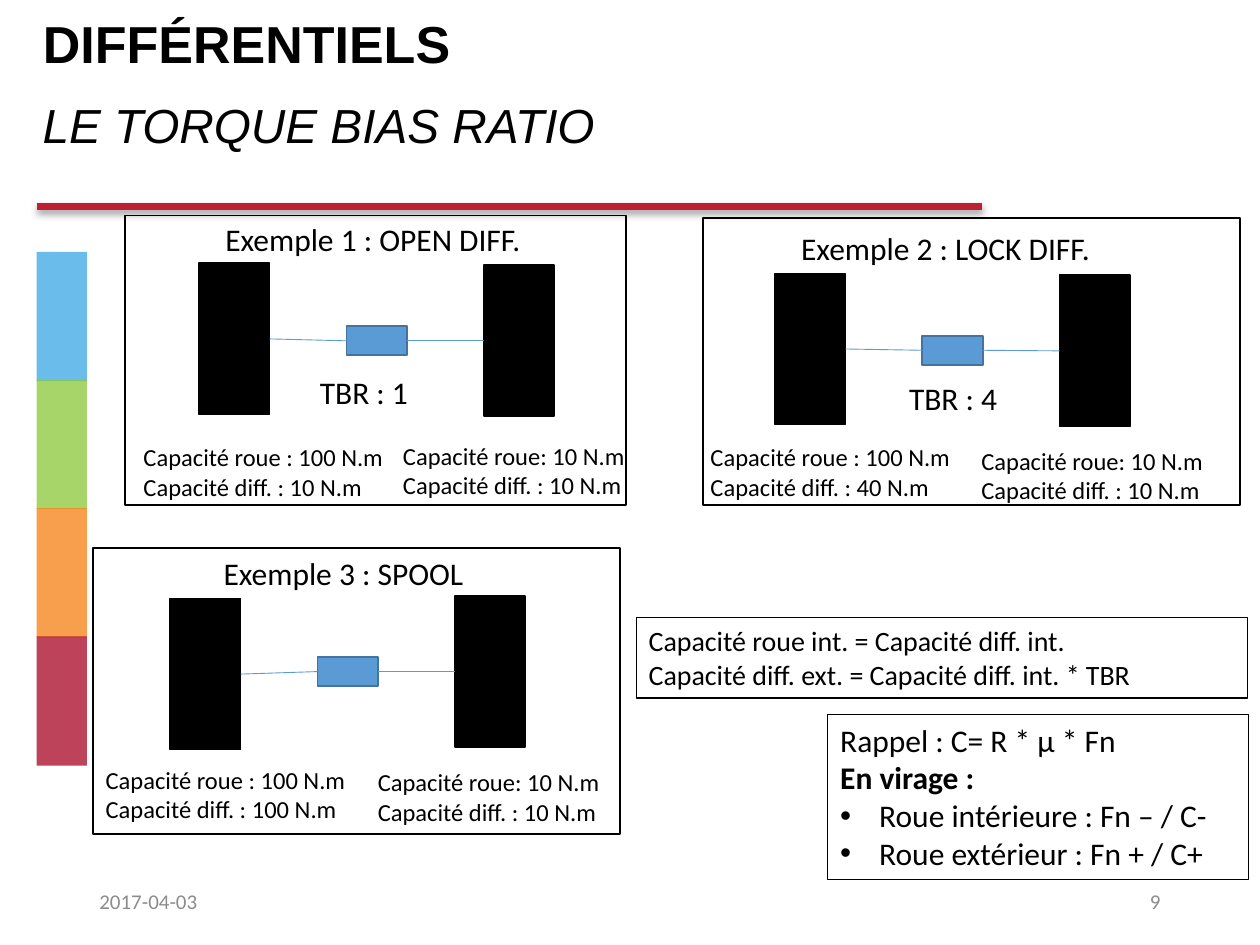
from dataclasses import dataclass

from lxml import etree
from pptx import Presentation
from pptx import util as u
from pptx.dml.color import RGBColor
from pptx.enum import shapes, text
from pptx.oxml.ns import qn

COLUMNS, ROWS = 100, 75
CELL = u.Inches(10) / COLUMNS
LEFT, CENTER, RIGHT = text.PP_ALIGN.LEFT, text.PP_ALIGN.CENTER, text.PP_ALIGN.RIGHT


@dataclass(frozen=True)
class Theme:
    ink: str = "000000"
    muted: str = "8C8C8C"
    rule: str = "BE1F33"
    hub: str = "5B9BD5"
    hub_edge: str = "43739E"
    bands: tuple = (("41AAE6", 78), ("8CC83C", 76), ("F78318", 77), ("A80926", 76))
    heading_font: str = "Arial"
    body_font: str = "Calibri"
    title: float = 29.7
    subtitle: float = 27.3
    body: int = 18
    formula: int = 16
    capacity: int = 14
    footer: int = 12


@dataclass(frozen=True)
class Example:
    title: str
    title_at: tuple
    panel: tuple
    wheel: tuple
    rise: float
    hub_drop: float
    strong_at: tuple
    weak_at: tuple
    strong_diff: int
    title_align: text.PP_ALIGN = LEFT


THEME = Theme()

EXAMPLES = (
    Example("Exemple 1 : OPEN DIFF.", (16.9, 17), (9.9, 17.1, 39.8, 23),
            (15.8, 20.9), 0.15, 5, (10.4, 34.6), (31, 34.5), 10),
    Example("Exemple 2 : LOCK DIFF.", (62.6, 17.7), (55.8, 17.3, 42.6, 22.8),
            (61.5, 21.7), 0.15, 4.95, (55.4, 34.6), (76.9, 34.9), 40),
    Example("Exemple 3 : SPOOL ", (12.9, 43.5), (7.4, 43.5, 41.8, 22.7),
            (13.5, 47.5), -0.2, 4.65, (7.4, 60.2), (29, 60.4), 100, CENTER),
)


def cells(*counts):
    return [u.Emu(round(n * CELL)) for n in counts]


def rgb(code):
    return RGBColor.from_string(code)


def write(tf, lines, size, font=THEME.body_font, color=THEME.ink, bold=False,
          italic=False, align=LEFT, anchor=text.MSO_ANCHOR.TOP, spacing=None, grow=True):
    tf.word_wrap = True
    tf.auto_size = text.MSO_AUTO_SIZE.SHAPE_TO_FIT_TEXT if grow else text.MSO_AUTO_SIZE.NONE
    tf.vertical_anchor = anchor
    for i, line in enumerate(lines):
        p = tf.paragraphs[0] if i == 0 else tf.add_paragraph()
        p.alignment = align
        if spacing:
            p.line_spacing = spacing
        r = p.add_run()
        r.text = line
        r.font.name, r.font.size = font, u.Pt(size)
        r.font.bold, r.font.italic = bold, italic
        r.font.color.rgb = rgb(color)


def add_label(slide, box, lines, size, edge=None, **fmt):
    sp = slide.shapes.add_textbox(*cells(*box))
    write(sp.text_frame, lines, size, **fmt)
    if edge:
        sp.line.color.rgb, sp.line.width = rgb(THEME.ink), u.Pt(edge)
    return sp


def add_rect(slide, box, fill=None, edge=None, alpha=None):
    sp = slide.shapes.add_shape(shapes.MSO_SHAPE.RECTANGLE, *cells(*box))
    sp.shadow.inherit = False
    if fill:
        sp.fill.solid()
        sp.fill.fore_color.rgb = rgb(fill)
    else:
        sp.fill.background()
    if alpha:
        color = sp._element.spPr.find(qn("a:solidFill")).find(qn("a:srgbClr"))
        etree.SubElement(color, qn("a:alpha"), val=str(alpha * 1000))
    if edge:
        sp.line.color.rgb, sp.line.width = rgb(edge), u.Pt(1)
    else:
        sp.line.fill.background()
    return sp


def add_line(slide, ends, color, width):
    line = slide.shapes.add_connector(shapes.MSO_CONNECTOR.STRAIGHT, *cells(*ends))
    line.line.color.rgb, line.line.width = rgb(color), u.Pt(width)
    effects = etree.SubElement(line._element.spPr, qn("a:effectLst"))
    return line, effects


def join(slide, start, end):
    axle, _ = add_line(slide, (0, 0, 1, 1), THEME.hub, 0.5)
    axle.begin_connect(start, 3)
    axle.end_connect(end, 1)


def add_rule(slide):
    _, effects = add_line(slide, (2.9, 16.4, 77.9, 16.4), THEME.rule, 4)
    shadow = etree.SubElement(effects, qn("a:outerShdw"), blurRad=str(u.Pt(4)),
                              dist=str(u.Pt(2)), dir="5400000", rotWithShape="0")
    color = etree.SubElement(shadow, qn("a:srgbClr"), val=THEME.ink)
    etree.SubElement(color, qn("a:alpha"), val="40000")


def add_bands(slide):
    for i, (color, alpha) in enumerate(THEME.bands):
        add_rect(slide, (2.9, 20 + 10.17 * i, 4, 10.25), color, alpha=alpha)


def add_headings(slide):
    title = slide.shapes.title
    title.left, title.top, title.width, title.height = cells(2.4, 1.3, 82.6, 4.8)
    middle = dict(font=THEME.heading_font, anchor=text.MSO_ANCHOR.MIDDLE, grow=False)
    write(title.text_frame, ["DIFFÉRENTIELS"], THEME.title, bold=True, spacing=0.9, **middle)
    add_label(slide, (2.4, 7.9, 82.6, 4.8), ["LE TORQUE BIAS RATIO"], THEME.subtitle,
              italic=True, spacing=0.8, **middle)


def add_example(slide, ex):
    x, y = ex.wheel
    left = add_rect(slide, (x, y, 5.6, 12), THEME.ink, THEME.ink)
    right = add_rect(slide, (x + 22.6, y + ex.rise, 5.6, 12), THEME.ink, THEME.ink)
    hub = add_rect(slide, (x + 11.7, y + ex.hub_drop, 4.8, 2.3), THEME.hub, THEME.hub_edge)
    join(slide, left, hub)
    join(slide, hub, right)
    add_label(slide, (*ex.title_at, 29.3, 4), [ex.title], THEME.body, align=ex.title_align)
    add_label(slide, (*ex.strong_at, 23.9, 5.7),
              ["Capacité roue : 100 N.m", f"Capacité diff. : {ex.strong_diff} N.m"],
              THEME.capacity)
    add_label(slide, (*ex.weak_at, 22.7, 5.7),
              ["Capacité roue: 10 N.m", "Capacité diff. : 10 N.m"], THEME.capacity)
    add_rect(slide, ex.panel, edge=THEME.ink)


def add_reminder(slide):
    sp = add_label(slide, (65.7, 56.7, 33.4, 13.1),
                   ["Rappel : C= R * μ * Fn", "En virage :",
                    "Roue intérieure : Fn – / C-", "Roue extérieur : Fn + / C+"],
                   THEME.body, edge=0.75)
    _, heading, *items = sp.text_frame.paragraphs
    heading.runs[0].font.bold = True
    indent = u.Inches(0.31)
    for p in items:
        props = p._p.get_or_add_pPr()
        props.set("marL", str(indent))
        props.set("indent", str(-indent))
        etree.SubElement(props, qn("a:buFont"), typeface=THEME.heading_font)
        etree.SubElement(props, qn("a:buChar"), char="•")


def add_footer(slide):
    for x, label, align in ((6.9, "2017-04-03", LEFT), (70.6, "9", RIGHT)):
        add_label(slide, (x, 69.5, 22.5, 4), [label], THEME.footer, color=THEME.muted,
                  align=align, anchor=text.MSO_ANCHOR.MIDDLE, grow=False)


def main():
    prs = Presentation()
    prs.slide_width, prs.slide_height = cells(COLUMNS, ROWS)
    slide = prs.slides.add_slide(prs.slide_layouts[5])
    add_bands(slide)
    add_rule(slide)
    add_headings(slide)
    for ex in EXAMPLES:
        add_example(slide, ex)
    add_label(slide, (24.4, 29.1, 10.9, 4), ["TBR : 1"], THEME.body)
    add_label(slide, (67.8, 29.6, 15.7, 4), ["TBR : 4"], THEME.body, align=CENTER)
    add_label(slide, (50.5, 49, 48.5, 6.4),
              ["Capacité roue int. = Capacité diff. int.",
               "Capacité diff. ext. = Capacité diff. int. * TBR"],
              THEME.formula, edge=0.75)
    add_reminder(slide)
    add_footer(slide)
    prs.save("out.pptx")


if __name__ == "__main__":
    main()
